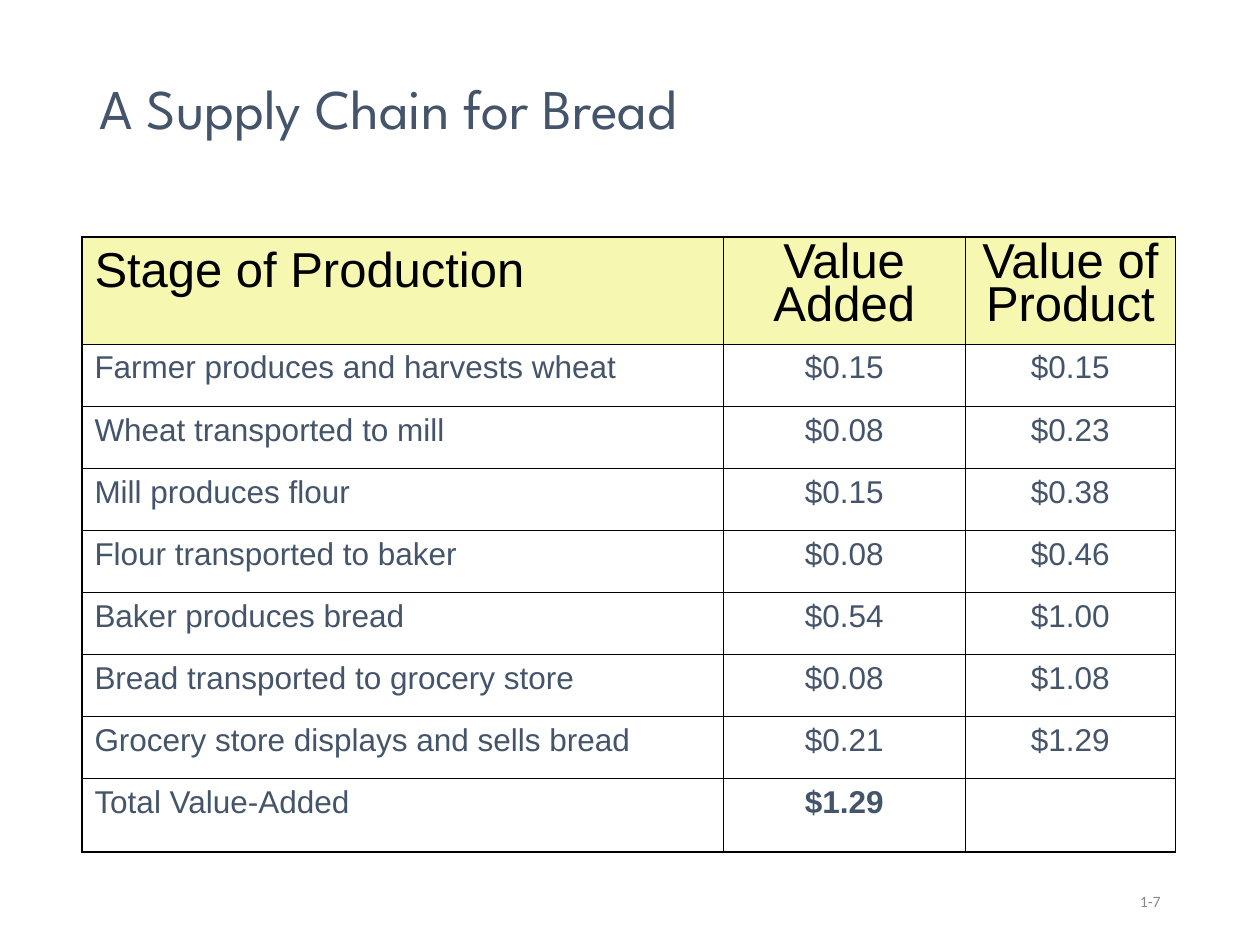
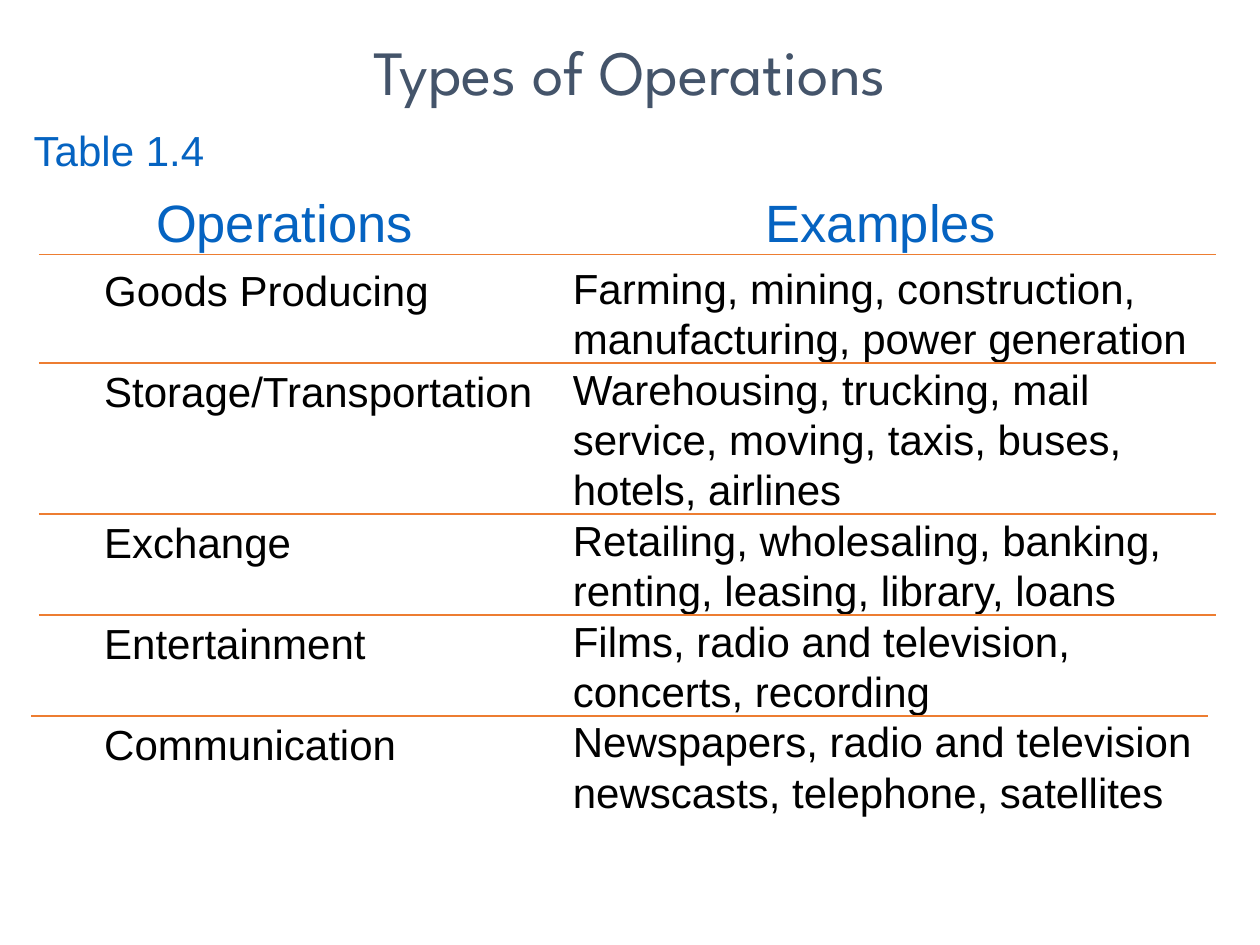
from dataclasses import dataclass
from lxml.etree import SubElement
from pptx import Presentation
from pptx.dml.color import RGBColor
from pptx.enum.shapes import MSO_CONNECTOR
from pptx.enum.text import MSO_ANCHOR, MSO_AUTO_SIZE, PP_ALIGN
from pptx.oxml.ns import qn
from pptx.util import Pt


@dataclass(frozen=True)
class Theme:
    title_font: str = "League Spartan"
    body_font: str = "Arial"
    number_font: str = "Calibri"
    slate: str = "44546A"
    blue: str = "0563C1"
    black: str = "000000"
    gray: str = "898989"
    orange: str = "ED7D31"
    header_fill: str = "F6F8B2"
    title_size: float = 32
    large_title_size: float = 36
    heading_size: float = 30
    table_heading_size: float = 28
    body_size: float = 24
    cell_size: float = 18
    number_size: float = 9
    outer_border: float = 1.08
    inner_border: float = 0.45
    rule_width: float = 1


THEME = Theme()

SUPPLY_CHAIN = [
    ("Stage of Production", "Value Added", "Value of Product"),
    ("Farmer produces and harvests wheat", "$0.15", "$0.15"),
    ("Wheat transported to mill", "$0.08", "$0.23"),
    ("Mill produces flour", "$0.15", "$0.38"),
    ("Flour transported to baker", "$0.08", "$0.46"),
    ("Baker produces bread", "$0.54", "$1.00"),
    ("Bread transported to grocery store", "$0.08", "$1.08"),
    ("Grocery store displays and sells bread", "$0.21", "$1.29"),
    ("Total Value-Added", "$1.29", ""),
]

# Operation, its examples, number of text lines, shift of the rule above
OPERATIONS = [
    ("Goods Producing",
     "Farming, mining, construction, manufacturing, power generation", 2, 0),
    ("Storage/Transportation",
     "Warehousing, trucking, mail service, moving, taxis, buses, "
     "hotels, airlines", 3, 0),
    ("Exchange",
     "Retailing, wholesaling, banking, renting, leasing, library, loans", 2, 0),
    ("Entertainment",
     "Films, radio and television, concerts, recording", 2, 0),
    ("Communication",
     "Newspapers, radio and television newscasts, telephone, satellites", 2, -4.5),
]


def place(shape, box):
    shape.left, shape.top, shape.width, shape.height = map(Pt, box)


def write(frame, text, size, color, font=THEME.body_font,
          align=PP_ALIGN.LEFT, bold=False):
    para = frame.paragraphs[0]
    para.alignment = align
    span = para.add_run()
    span.text = text
    span.font.size = Pt(size)
    span.font.name = font
    span.font.bold = bold
    span.font.color.rgb = RGBColor.from_string(color)
    return para


def add_title(page, box, text, size, align, anchor):
    title = page.shapes.title
    place(title, box)
    frame = title.text_frame
    frame.auto_size = MSO_AUTO_SIZE.NONE
    frame.vertical_anchor = anchor
    write(frame, text, size, THEME.slate, THEME.title_font, align)
    return frame


def add_text(page, box, text, size, color, wrap=False, **style):
    frame = page.shapes.add_textbox(*map(Pt, box)).text_frame
    frame.word_wrap = wrap
    return frame, write(frame, text, size, color, **style)


def add_rule(page, left, top, width):
    rule = page.shapes.add_connector(
        MSO_CONNECTOR.STRAIGHT, Pt(left), Pt(top), Pt(left + width), Pt(top))
    rule.line.color.rgb = RGBColor.from_string(THEME.orange)
    rule.line.width = Pt(THEME.rule_width)
    SubElement(rule._element.spPr, qn("a:effectLst"))


def set_borders(cell, outer_sides):
    properties = cell._tc.get_or_add_tcPr()
    for side in ("L", "R", "T", "B"):
        width = THEME.outer_border if side in outer_sides else THEME.inner_border
        line = SubElement(properties, qn(f"a:ln{side}"), w=str(int(Pt(width))))
        fill = SubElement(line, qn("a:solidFill"))
        SubElement(fill, qn("a:srgbClr"), val=THEME.black)


def fill_header_cell(cell, text, column):
    cell.fill.solid()
    cell.fill.fore_color.rgb = RGBColor.from_string(THEME.header_fill)
    align = PP_ALIGN.CENTER if column else PP_ALIGN.LEFT
    para = write(cell.text_frame, text, THEME.table_heading_size, THEME.black,
                 align=align)
    para.space_before = Pt((7, 3.5, 5.2)[column])
    if column:
        para.line_spacing = 0.8


def fill_body_cell(cell, text, column, bold):
    cell.fill.background()
    if text:
        align = PP_ALIGN.CENTER if column else PP_ALIGN.LEFT
        para = write(cell.text_frame, text, THEME.cell_size, THEME.slate,
                     align=align, bold=bold)
        para.space_before = Pt(4.5)


def add_supply_table(page, box, rows):
    last_row, last_column = len(rows) - 1, len(rows[0]) - 1
    table = page.shapes.add_table(
        len(rows), len(rows[0]), *map(Pt, box)).table
    table.first_row = table.horz_banding = False
    widths = (366.5, 138.2, box[2] - 366.5 - 138.2)
    for column, width in zip(table.columns, widths):
        column.width = Pt(width)
    heights = [61.2] + [35.5] * (last_row - 1) + [41.8]
    for row, height in zip(table.rows, heights):
        row.height = Pt(height)

    for r, row in enumerate(rows):
        for c, text in enumerate(row):
            cell = table.cell(r, c)
            edges = {"L": c == 0, "R": c == last_column,
                     "T": r == 0, "B": r == last_row}
            set_borders(cell, [side for side, outer in edges.items() if outer])
            if r == 0:
                fill_header_cell(cell, text, c)
            else:
                fill_body_cell(cell, text, c, bold=r == last_row and c == 1)


def add_operations(page, box, operations):
    left, top, width = box
    line_height = 28.8
    names_left, examples_left = left + 30.2, left + 298

    # Column headings
    for heading, offset, heading_width in (("Operations", 59.8, 161),
                                           ("Examples", 408.2, 146)):
        add_text(page, (left + offset, top, heading_width, 43.2), heading,
                 THEME.heading_size, THEME.blue)

    # Each operation under its rule
    row_top = top + 42.5
    for index, (name, examples, lines, shift) in enumerate(operations):
        add_rule(page, left + shift, row_top + (2.2 if index else -2.2), width)
        add_text(page, (names_left, row_top, 260, 36), name,
                 THEME.body_size, THEME.black)
        row_height = lines * line_height
        _, para = add_text(
            page, (examples_left, row_top - 1.2, 374.4, row_height + 7.2),
            examples, THEME.body_size, THEME.black, wrap=True)
        para.line_spacing = Pt(line_height)
        row_top += row_height


def build_supply_chain(deck):
    page = deck.slides.add_slide(deck.slide_layouts[5])
    frame = add_title(page, (49.7, 28.8, 621.4, 104.4),
                      "A Supply Chain for Bread", THEME.title_size,
                      PP_ALIGN.LEFT, MSO_ANCHOR.MIDDLE)
    frame.margin_bottom = Pt(38)
    frame.paragraphs[0].line_spacing = 0.9
    add_supply_table(page, (46.8, 135.4, 625, 351.5), SUPPLY_CHAIN)

    # Page number
    frame, _ = add_text(page, (508.3, 500.4, 162, 28.8), "1-7",
                        THEME.number_size, THEME.gray, wrap=True,
                        font=THEME.number_font, align=PP_ALIGN.RIGHT)
    frame.vertical_anchor = MSO_ANCHOR.MIDDLE


def build_operations(deck):
    page = deck.slides.add_slide(deck.slide_layouts[5])
    add_title(page, (0, 15.1, 720, 50.4), "Types of Operations",
              THEME.large_title_size, PP_ALIGN.CENTER, MSO_ANCHOR.TOP)
    add_text(page, (12.2, 67.7, 114.5, 36), "Table 1.4",
             THEME.body_size, THEME.blue)
    add_operations(page, (22.3, 105.1, 672.5), OPERATIONS)


def main():
    deck = Presentation()
    deck.slide_width, deck.slide_height = Pt(720), Pt(540)
    build_supply_chain(deck)
    build_operations(deck)
    deck.save("out.pptx")


if __name__ == "__main__":
    main()
